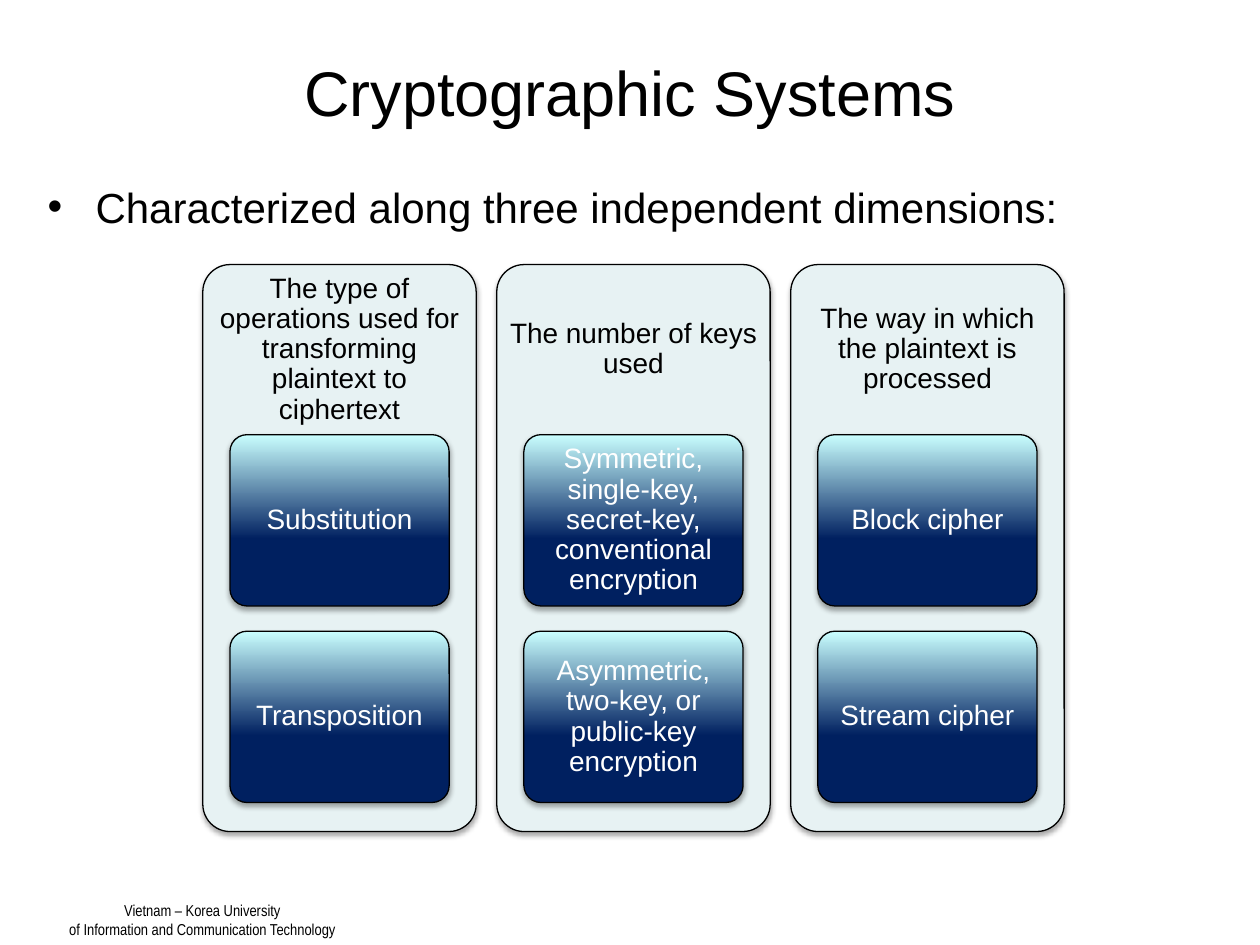
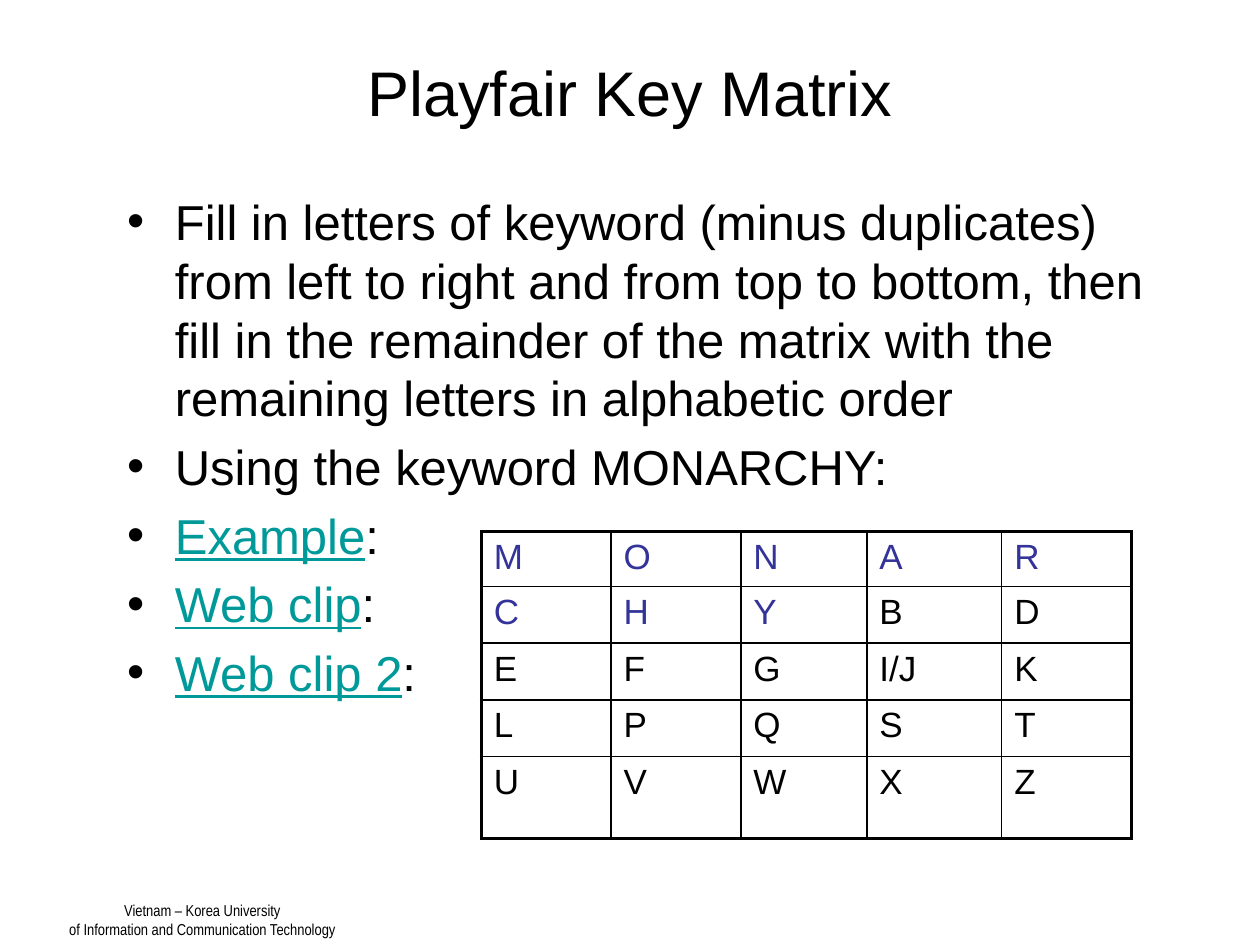
import copy

import pptx
import pptx.dml.color
import pptx.enum.shapes
import pptx.enum.text
import pptx.oxml
import pptx.oxml.ns
import pptx.util
from lxml import etree
from pptx.util import Inches

COLORS = {
    "text": "000000",
    "light_text": "FFFFFF",
    "background": "FFFFFF",
    "panel": "E7F2F3",
    "navy": "002060",
    "ice": "CAFFFF",
    "link": "009999",
    "keyword": "333399",
}
FONT = "Arial"
FOOTER_FONT = "Arial Narrow"
FOOTER = ["Vietnam – Korea University", "of Information and Communication Technology"]
CENTER = pptx.enum.text.PP_ALIGN.CENTER
MIDDLE = pptx.enum.text.MSO_ANCHOR.MIDDLE

DIMENSIONS = [
    ("The type of operations used for transforming plaintext to ciphertext",
     ["Substitution", "Transposition"]),
    ("The number of keys used",
     ["Symmetric, single-key, secret-key, conventional encryption",
      "Asymmetric, two-key, or public-key encryption"]),
    ("The way in which the plaintext is processed",
     ["Block cipher", "Stream cipher"]),
]
KEYWORD = "MONARCHY"
KEY_MATRIX = [row.split() for row in
              ("M O N A R", "C H Y B D", "E F G I/J K", "L P Q S T", "U V W X Z")]


def rgb(name):
    return pptx.dml.color.RGBColor.from_string(COLORS[name])


def add_xml(parent, tag, **attributes):
    return etree.SubElement(parent, pptx.oxml.ns.qn(tag), attributes)


class Deck:
    def __init__(self):
        self.presentation = pptx.Presentation()
        self.presentation.slide_width = Inches(10)
        self.presentation.slide_height = Inches(7.5)
        self.slide = None

    def new_slide(self, title):
        self.slide = self.presentation.slides.add_slide(self.presentation.slide_layouts[6])
        self.slide.background.fill.solid()
        self.slide.background.fill.fore_color.rgb = rgb("background")
        self.text(FOOTER, 0.43, 7.1, 2.35, 0.4, 9, font=FOOTER_FONT, wrap=False)
        self.text([title], 0.5, 0.3, 9, 0.85, 36, anchor=MIDDLE)

    def style(self, run, size, color="text", font=FONT):
        run.font.size = pptx.util.Pt(size)
        run.font.name = font
        run.font.color.rgb = rgb(color)

    def fill_frame(self, frame, lines, size, color="text", font=FONT, spacing=None):
        frame.text = "\n".join(lines)
        for paragraph in frame.paragraphs:
            paragraph.alignment = CENTER
            paragraph.line_spacing = spacing
            for run in paragraph.runs:
                self.style(run, size, color, font)

    def set_margins(self, frame, across, down):
        frame.margin_left = frame.margin_right = Inches(across)
        frame.margin_top = frame.margin_bottom = Inches(down)

    def text(self, lines, left, top, width, height, size, font=FONT, wrap=True,
             anchor=None, margins=(0.1, 0.05), spacing=None):
        frame = self.slide.shapes.add_textbox(
            Inches(left), Inches(top), Inches(width), Inches(height)).text_frame
        frame.word_wrap = wrap
        frame.vertical_anchor = anchor
        self.set_margins(frame, *margins)
        self.fill_frame(frame, lines, size, font=font, spacing=spacing)

    def bullets(self, items, left, top, width, height, size):
        frame = self.slide.shapes.add_textbox(
            Inches(left), Inches(top), Inches(width), Inches(height)).text_frame
        frame.word_wrap = True
        for index, parts in enumerate(items):
            paragraph = frame.add_paragraph() if index else frame.paragraphs[0]
            properties = paragraph._p.get_or_add_pPr()
            properties.set("marL", str(Inches(0.38)))
            properties.set("indent", str(Inches(-0.38)))
            add_xml(add_xml(properties, "a:buClr"), "a:srgbClr", val=COLORS["text"])
            add_xml(properties, "a:buFont", typeface=FONT)
            add_xml(properties, "a:buChar", char="•")
            if index:
                paragraph.space_before = pptx.util.Pt(5.6)
            for words, color in parts:
                run = paragraph.add_run()
                run.text = words
                self.style(run, size, color)
                run.font.underline = color == "link"

    def rounded_box(self, left, top, width, height):
        box = self.slide.shapes.add_shape(
            pptx.enum.shapes.MSO_SHAPE.ROUNDED_RECTANGLE,
            Inches(left), Inches(top), Inches(width), Inches(height))
        box.adjustments[0] = 0.1
        box.line.color.rgb = rgb("text")
        box.line.width = pptx.util.Pt(0.75)
        box.shadow.inherit = False
        effects = box._element.spPr.find(pptx.oxml.ns.qn("a:effectLst"))
        shadow = add_xml(effects, "a:outerShdw", blurRad="40000", dist="23000",
                         dir="5400000", rotWithShape="0")
        shade = add_xml(shadow, "a:srgbClr", val=COLORS["text"])
        add_xml(shade, "a:alpha", val="35000")
        return box

    def panel(self, heading, left, top, width, height):
        box = self.rounded_box(left, top, width, height)
        box.fill.solid()
        box.fill.fore_color.rgb = rgb("panel")
        self.text([heading], left, top, width, 1.35, 16, anchor=MIDDLE,
                  margins=(0.07, 0.07), spacing=0.9)

    def option(self, label, left, top, width, height):
        box = self.rounded_box(left, top, width, height)
        box.fill.gradient()
        box.fill.gradient_angle = 90
        stop_list = next(box._element.spPr.iter(pptx.oxml.ns.qn("a:gsLst")))
        stop_list.append(copy.deepcopy(stop_list[0]))
        shades = [(0, "navy"), (0.39, "navy"), (1, "ice")]
        for stop, (position, color) in zip(box.fill.gradient_stops, shades):
            stop.position = position
            stop.color.rgb = rgb(color)
        frame = box.text_frame
        frame.word_wrap = True
        frame.vertical_anchor = MIDDLE
        self.set_margins(frame, 0.04, 0.03)
        self.fill_frame(frame, [label], 16, "light_text", spacing=0.9)

    def border(self, cell, side, points):
        line = add_xml(cell._tc.get_or_add_tcPr(), f"a:ln{side}",
                       w=str(pptx.util.Pt(points)))
        add_xml(add_xml(line, "a:solidFill"), "a:srgbClr", val=COLORS["text"])

    def matrix(self, rows, highlighted, left, top, widths, heights):
        table = self.slide.shapes.add_table(
            len(rows), len(widths), Inches(left), Inches(top),
            Inches(sum(widths)), Inches(sum(heights))).table
        table.first_row = table.horz_banding = False
        for column, width in zip(table.columns, widths):
            column.width = Inches(width)
        for row, height in zip(table.rows, heights):
            row.height = Inches(height)
        last_row, last_column = len(rows) - 1, len(widths) - 1
        for r, letters in enumerate(rows):
            for c, letter in enumerate(letters):
                cell = table.cell(r, c)
                cell.text_frame.text = letter
                self.style(cell.text_frame.paragraphs[0].runs[0], 20,
                           "keyword" if letter in highlighted else "text")
                outer = {"L": c == 0, "R": c == last_column,
                         "T": r == 0, "B": r == last_row}
                for side, is_outer in outer.items():
                    self.border(cell, side, 2.25 if is_outer else 1)
                cell.fill.background()


def build_systems(deck):
    deck.new_slide("Cryptographic Systems")
    deck.bullets([[("Characterized along three independent dimensions:", "text")]],
                 0.28, 1.39, 9.42, 0.63, 24)
    for column, (heading, options) in enumerate(DIMENSIONS):
        left = 1.61 + column * 2.333
        deck.panel(heading, left, 2.1, 2.17, 4.5)
        for row, label in enumerate(options):
            deck.option(label, left + 0.215, 3.45 + row * 1.56, 1.74, 1.36)


def build_playfair(deck):
    deck.new_slide("Playfair Key Matrix")
    statements = [
        "Fill in letters of keyword (minus duplicates) from left to right and from top "
        "to bottom, then fill in the remainder of the matrix with the remaining letters "
        "in alphabetic order",
        f"Using the keyword {KEYWORD}:",
    ]
    links = ["Example", "Web clip", "Web clip 2"]
    items = [[(statement, "text")] for statement in statements]
    items += [[(link, "link"), (":", "text")] for link in links]
    deck.bullets(items, 0.91, 1.47, 8.28, 4.47, 28)
    deck.matrix(KEY_MATRIX, KEYWORD, 3.82, 4.22,
                [1.03, 1.03, 1, 1.07, 1.03], [0.4, 0.45, 0.45, 0.45, 0.65])


def main():
    deck = Deck()
    build_systems(deck)
    build_playfair(deck)
    deck.presentation.save("out.pptx")


if __name__ == "__main__":
    main()
